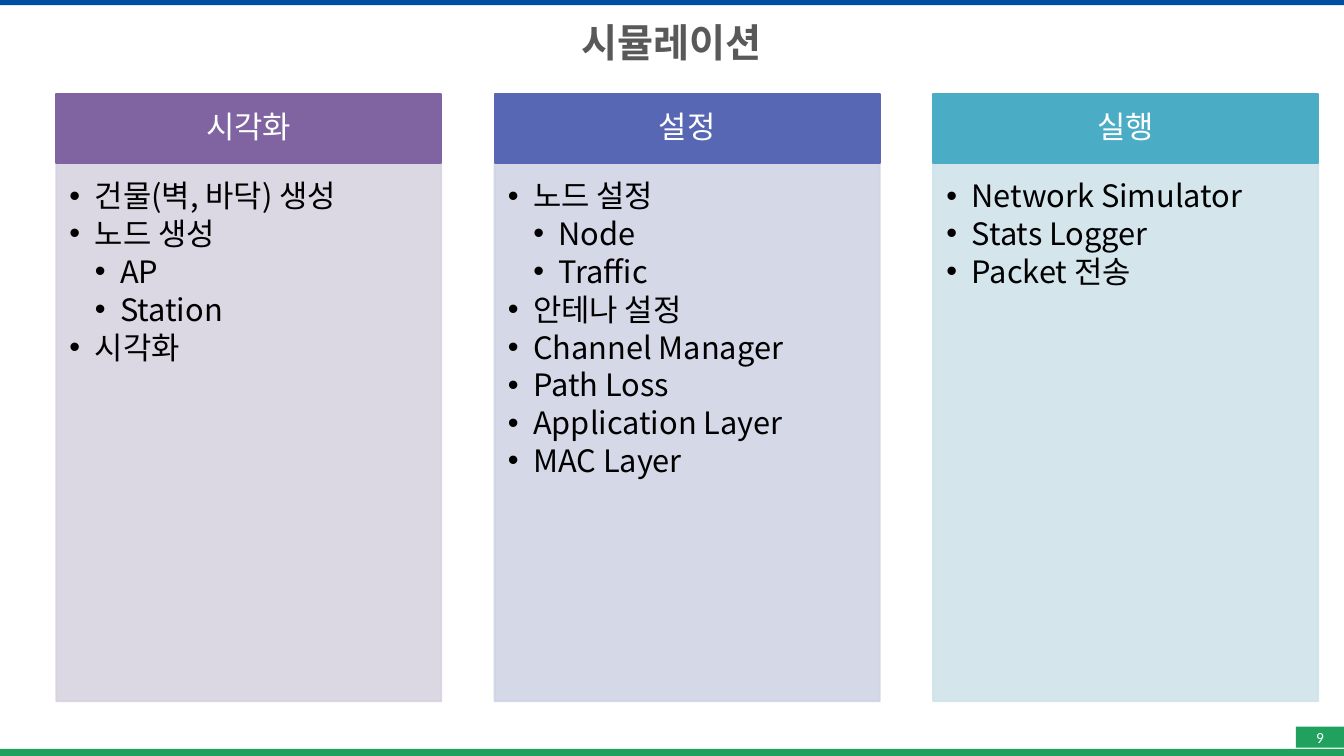
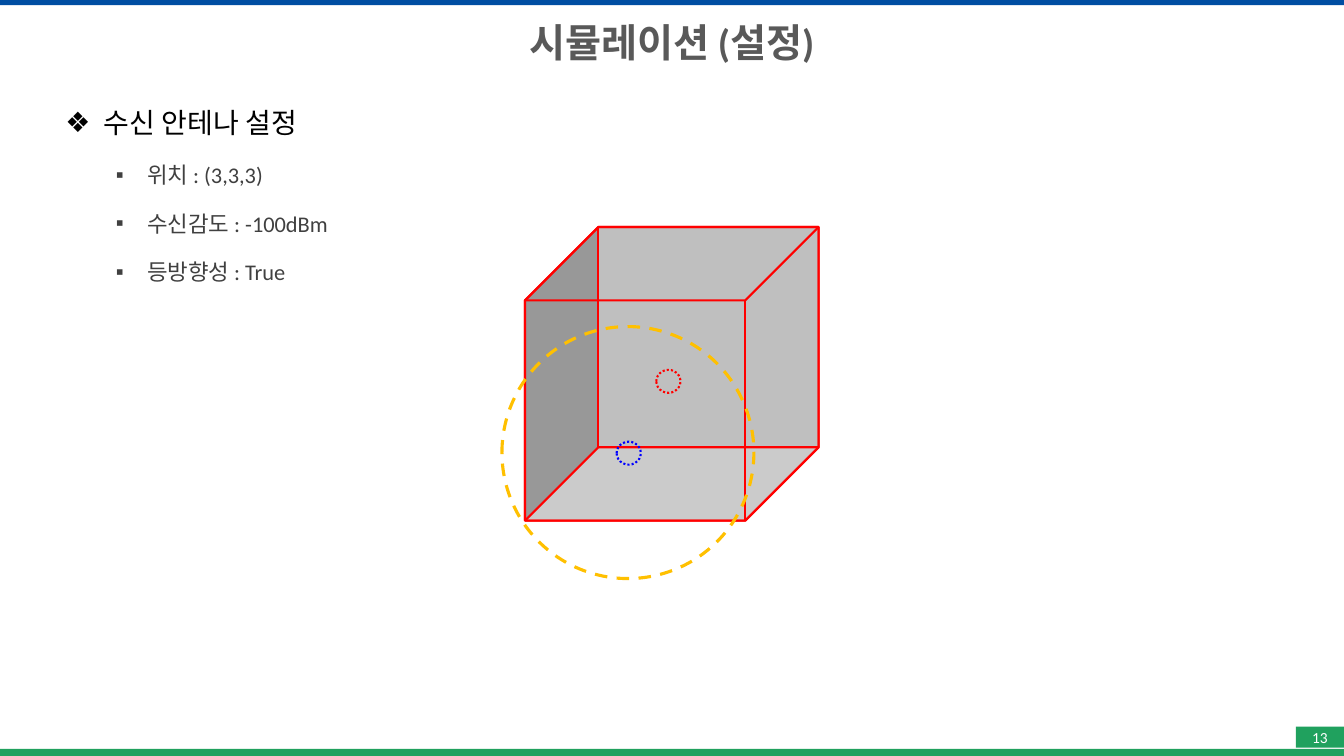
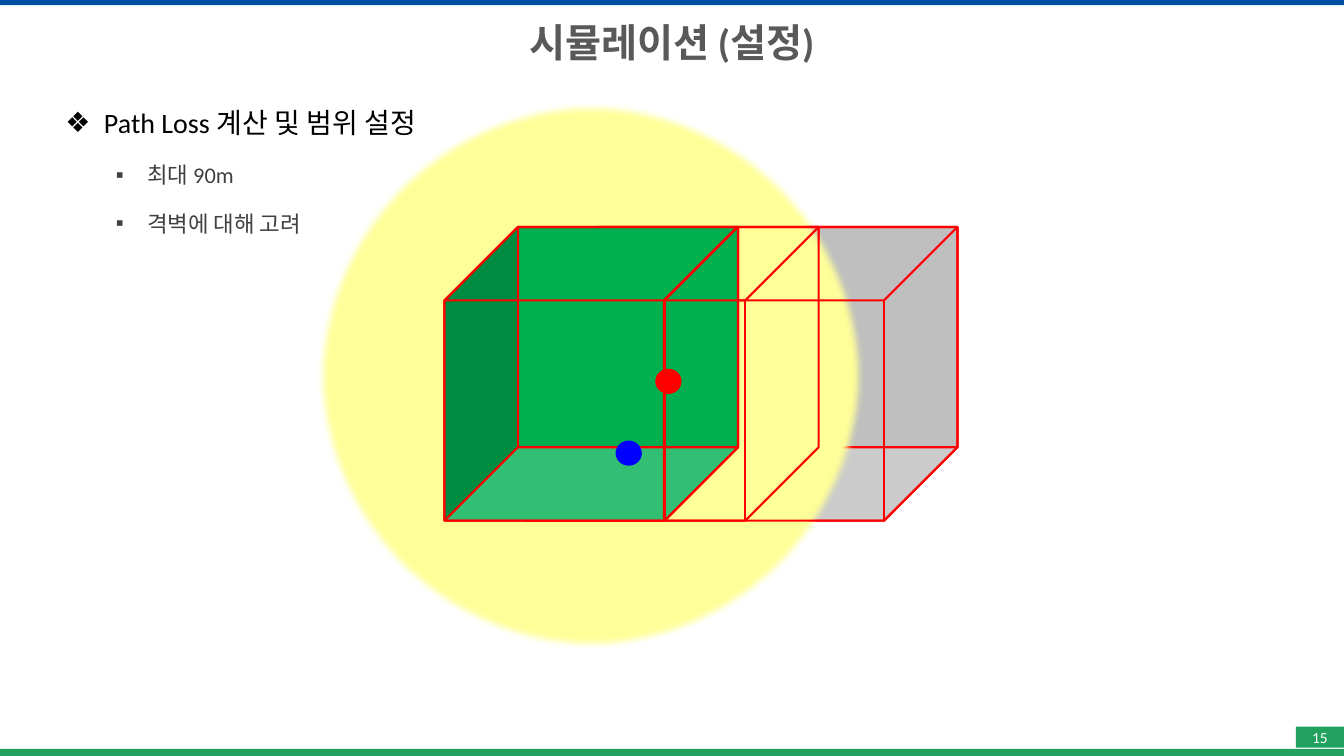
from lxml import etree
from pptx import Presentation
from pptx.dml import color
from pptx.enum import dml, shapes, text
from pptx.oxml import ns
from pptx.util import Cm, Pt

# Shared style
GREEN, BLUE, GREY, WHITE, BLACK = "20A15E", "004EA2", "595959", "FFFFFF", "000000"
RED, NODE_BLUE = "FF0000", "0000FF"
LATIN, KOREAN = "Calibri", "Noto Sans CJK KR"
SLIDE_W, SLIDE_H = 33.87, 19.05
RECT, OVAL, CUBE = (shapes.MSO_SHAPE.RECTANGLE, shapes.MSO_SHAPE.OVAL,
                    shapes.MSO_SHAPE.CUBE)
DOTTED, DASHED = dml.MSO_LINE.ROUND_DOT, dml.MSO_LINE.DASH

# Slide 1: heading, heading colour, body colour, (level, text) items
CARDS = [
    ("시각화", "8064A2", "D8D3E0",
     [(0, "건물(벽, 바닥) 생성"), (0, "노드 생성"), (1, "AP"), (1, "Station"),
      (0, "시각화")]),
    ("설정", "5767B4", "D1D4E5",
     [(0, "노드 설정"), (1, "Node"), (1, "Traffic"), (0, "안테나 설정"),
      (0, "Channel Manager"), (0, "Path Loss"), (0, "Application Layer"),
      (0, "MAC Layer")]),
    ("실행", "4BACC6", "D0E3EA",
     [(0, "Network Simulator"), (0, "Stats Logger"), (0, "Packet 전송")]),
]
CARD_LEFT, CARD_TOP, CARD_W, CARD_STEP = 1.42, 2.36, 9.7, 11.05
HEADING_H, CARD_BODY_H = 1.75, 13.56

# Slides 2 and 3: topic and details
ANTENNA = ("수신 안테나 설정",
           ["위치 : (3,3,3)", "수신감도 : -100dBm", "등방향성 : True"])
PATH_LOSS = ("Path Loss 계산 및 범위 설정", ["최대 90m", "격벽에 대해 고려"])

# Rooms and nodes
ROOM_TOP, ROOM_SIZE = 5.72, 7.4
ROOM_LEFT, ROOM_MIDDLE, ROOM_RIGHT = 11.2, 13.23, 16.73
RED_NODE, BLUE_NODE = (16.54, 9.32, 0.61, 0.58), (15.54, 11.13, 0.61, 0.58)
ANTENNA_RANGE, LOSS_RANGE = (12.65, 8.23, 6.35, 6.35), (8, 2.59, 13.79, 13.79)


def rgb(value):
    return color.RGBColor.from_string(value)


def add_xml(parent, tag, **attributes):
    return etree.SubElement(parent, ns.qn(tag), attributes)


def add_shape(slide, kind, box, fill=None, line=None, width=1.5, dash=None):
    shape = slide.shapes.add_shape(kind, *map(Cm, box))
    shape.shadow.inherit = False
    if fill:
        shape.fill.solid()
        shape.fill.fore_color.rgb = rgb(fill)
    else:
        shape.fill.background()
    if line:
        shape.line.color.rgb = rgb(line)
        shape.line.width = Pt(width)
        if dash:
            shape.line.dash_style = dash
    else:
        shape.line.fill.background()
    return shape


def set_frame(shape, anchor=text.MSO_ANCHOR.TOP, insets=(0.25, 0.13, 0.25, 0.13)):
    frame = shape.text_frame
    frame.word_wrap = True
    frame.vertical_anchor = anchor
    (frame.margin_left, frame.margin_top,
     frame.margin_right, frame.margin_bottom) = map(Cm, insets)
    return frame


def style(paragraph, words, size, ink, font=LATIN, bold=False,
          align=text.PP_ALIGN.LEFT, spacing=None, before=0, after=0):
    paragraph.text = words
    paragraph.alignment = align
    paragraph.line_spacing = spacing
    paragraph.space_before, paragraph.space_after = Pt(before), Pt(after)
    paragraph.font.size, paragraph.font.bold = Pt(size), bold
    paragraph.font.color.rgb = rgb(ink)
    paragraph.font.name = font
    add_xml(paragraph._p.pPr.find(ns.qn("a:defRPr")), "a:ea", typeface=font)


def set_bullet(paragraph, mark, left, hanging, level=0):
    paragraph.level = level
    props = paragraph._p.get_or_add_pPr()
    props.set("marL", str(Cm(left)))
    props.set("indent", str(-Cm(hanging)))
    add_xml(props, "a:buFont", typeface="Arial")
    add_xml(props, "a:buChar", char=mark)


def add_paragraphs(frame, count):
    return [frame.paragraphs[0]] + [frame.add_paragraph() for _ in range(count - 1)]


def add_centred(shape, words, size, ink, insets=(0, 0, 0, 0), **options):
    frame = set_frame(shape, text.MSO_ANCHOR.MIDDLE, insets)
    style(frame.paragraphs[0], words, size, ink,
          align=text.PP_ALIGN.CENTER, **options)


def add_page(deck, title, number):
    slide = deck.slides.add_slide(deck.slide_layouts[6])
    add_shape(slide, RECT, (0, 18.87, SLIDE_W, 0.18), GREEN)
    add_shape(slide, RECT, (0, 0, SLIDE_W, 0.13), BLUE)
    heading = slide.shapes.add_textbox(*map(Cm, (0.66, 0.2, 32.54, 1.7)))
    add_centred(heading, title, 28, GREY, bold=True)
    badge = add_shape(slide, RECT, (32.66, 18.31, 1.21, 0.53), GREEN)
    add_centred(badge, str(number), 11, WHITE)
    return slide


def add_card(slide, left, heading, dark, light, items):
    body = add_shape(slide, RECT, (left, CARD_TOP + HEADING_H, CARD_W, CARD_BODY_H),
                     light, light)
    for tint in body._element.spPr.iter(ns.qn("a:srgbClr")):
        add_xml(tint, "a:alpha", val="90000")
    frame = set_frame(body, insets=(0.33, 0.33, 0.43, 0.48))
    for paragraph, (level, words) in zip(add_paragraphs(frame, len(items)), items):
        set_bullet(paragraph, "•", 0.64 * (level + 1), 0.64, level)
        style(paragraph, words, 22, BLACK, KOREAN, spacing=Pt(27))
    header = add_shape(slide, RECT, (left, CARD_TOP, CARD_W, HEADING_H), dark, dark)
    add_centred(header, heading, 22, WHITE, (0.43, 0.25, 0.43, 0.25),
                font=KOREAN, spacing=0.9)


def add_outline(slide, topic, details):
    box = slide.shapes.add_textbox(*map(Cm, (1.4, 2.11, 31.8, 15.8)))
    first, *rest = add_paragraphs(set_frame(box), 1 + len(details))
    set_bullet(first, "❖", 0.97, 0.97)
    style(first, topic, 20, BLACK, spacing=1.5, before=12, after=6)
    for paragraph, words in zip(rest, details):
        set_bullet(paragraph, "▪", 2.06, 0.79, 1)
        style(paragraph, words, 16, "404040", spacing=1.5, after=6)


def add_room(slide, left, fill=None):
    """A filled room shows its inner walls; an unfilled one its front edges."""
    room = add_shape(slide, CUBE, (left, ROOM_TOP, ROOM_SIZE, ROOM_SIZE), fill, RED)
    if fill:
        room.rotation = 180


def add_soft_circle(slide, box, fill):
    circle = add_shape(slide, OVAL, box, fill)
    effects = circle._element.spPr.find(ns.qn("a:effectLst"))
    add_xml(effects, "a:softEdge", rad="63500")


def main():
    deck = Presentation()
    deck.slide_width, deck.slide_height = Cm(SLIDE_W), Cm(SLIDE_H)

    # Overview cards
    overview = add_page(deck, "시뮬레이션", 9)
    for index, card in enumerate(CARDS):
        add_card(overview, CARD_LEFT + index * CARD_STEP, *card)

    # Receiving antenna
    antenna = add_page(deck, "시뮬레이션 (설정)", 13)
    add_room(antenna, ROOM_MIDDLE, "BFBFBF")
    add_room(antenna, ROOM_MIDDLE)
    add_outline(antenna, *ANTENNA)
    add_shape(antenna, OVAL, RED_NODE, line=RED, dash=DOTTED)
    add_shape(antenna, OVAL, BLUE_NODE, line=NODE_BLUE, dash=DOTTED)
    add_shape(antenna, OVAL, ANTENNA_RANGE, line="FFC000", width=2.25, dash=DASHED)

    # Path loss range
    loss = add_page(deck, "시뮬레이션 (설정)", 15)
    add_room(loss, ROOM_RIGHT, "BFBFBF")
    add_room(loss, ROOM_MIDDLE, "BFBFBF")
    add_soft_circle(loss, LOSS_RANGE, "FFFF99")
    add_room(loss, ROOM_MIDDLE)
    add_outline(loss, *PATH_LOSS)
    add_room(loss, ROOM_LEFT, "00B050")
    add_room(loss, ROOM_LEFT)
    add_shape(loss, OVAL, RED_NODE, RED, RED)
    add_shape(loss, OVAL, BLUE_NODE, NODE_BLUE, NODE_BLUE)
    add_room(loss, ROOM_RIGHT)

    deck.save("out.pptx")


if __name__ == "__main__":
    main()
